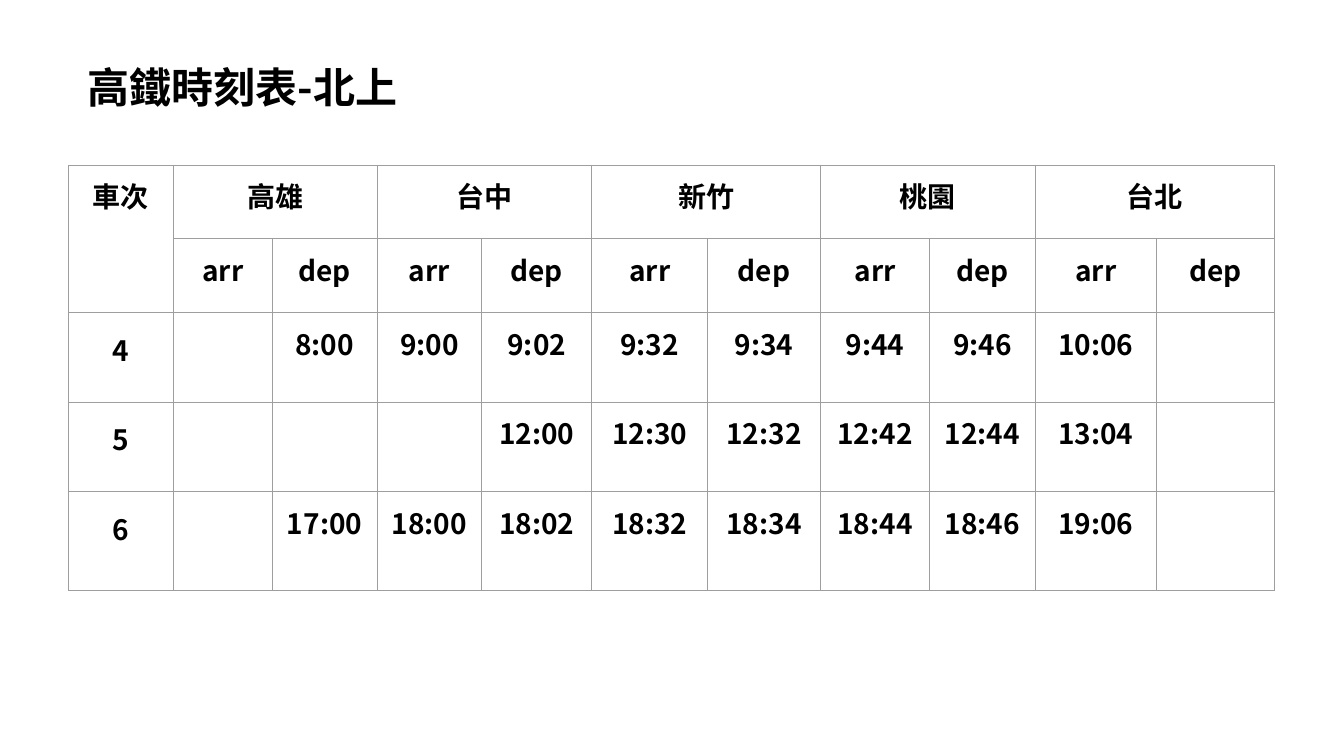
from lxml import etree
from pptx import Presentation
from pptx.dml.color import RGBColor
from pptx.enum.text import MSO_ANCHOR, PP_ALIGN
from pptx.oxml.ns import qn
from pptx.util import Inches, Pt

CENTER, LEFT = PP_ALIGN.CENTER, PP_ALIGN.LEFT
TOP = MSO_ANCHOR.TOP
BLACK = RGBColor(0x00, 0x00, 0x00)
GRAY = RGBColor(0x9E, 0x9E, 0x9E)
FACE = "Noto Sans CJK TC"
FONT = {"name": FACE, "bold": True}
INSET = {"margin_" + side: Inches(0.1) for side in ("left", "right", "top", "bottom")}

WIDTHS = [1.04, 0.98, 1.04, 1.04, 1.09, 1.15, 1.12, 1.08, 1.05, 1.2, 1.17]
HEIGHTS = [0.73, 0.73, 0.89, 0.89, 0.98]
STOPS = ["高雄", "台中", "新竹", "桃園", "台北"]
TRAINS = [
    ["4", "", "8:00", "9:00", "9:02", "9:32", "9:34", "9:44", "9:46", "10:06", ""],
    ["5", "", "", "", "12:00", "12:30", "12:32", "12:42", "12:44", "13:04", ""],
    ["6", "", "17:00", "18:00", "18:02", "18:32", "18:34", "18:44", "18:46", "19:06", ""],
]


def apply(item, values):
    """Set each attribute of item from a dict of values."""
    for name, value in values.items():
        setattr(item, name, value)


def write(para, text, size, align):
    """Put bold black text in a paragraph."""
    para.alignment = align
    run = para.add_run()
    run.text = text
    apply(run.font, {**FONT, "size": Pt(size)})
    run.font.color.rgb = BLACK
    etree.SubElement(run.font._element, qn("a:ea"), typeface=FACE)


def add_title(slide, text):
    """Add the wrapped title at the top left."""
    box = slide.shapes.add_textbox(Inches(0.77), Inches(0.51), Inches(3.3), Inches(0.69))
    apply(box.text_frame, {**INSET, "word_wrap": True, "vertical_anchor": TOP})
    write(box.text_frame.paragraphs[0], text, 30, LEFT)


def add_border(cell):
    """Draw a thin gray line on all four sides of a cell."""
    props = cell._tc.get_or_add_tcPr()
    for index, side in enumerate(("lnL", "lnR", "lnT", "lnB")):
        line = etree.Element(qn("a:" + side), w=str(Pt(0.75)))
        fill = etree.SubElement(line, qn("a:solidFill"))
        etree.SubElement(fill, qn("a:srgbClr"), val=str(GRAY))
        props.insert(index, line)


def fill_cell(cell, text, space):
    """Style one cell and write its text."""
    apply(cell, {**INSET, "vertical_anchor": TOP})
    cell.fill.background()
    add_border(cell)
    if text:
        para = cell.text_frame.paragraphs[0]
        write(para, text, 20, CENTER)
        para.line_spacing = space


def add_times(slide):
    """Add the timetable with its two header rows."""
    heads = ["車次"] + [text for stop in STOPS for text in (stop, "")]
    rows = [heads, [""] + ["arr", "dep"] * len(STOPS)] + TRAINS
    frame = slide.shapes.add_table(
        len(rows), len(WIDTHS), Inches(0.68), Inches(1.64),
        Inches(sum(WIDTHS)), Inches(sum(HEIGHTS)))
    table = frame.table
    apply(table, {"first_row": False, "horz_banding": False})
    for col, width in zip(table.columns, WIDTHS):
        col.width = Inches(width)
    for row, height in zip(table.rows, HEIGHTS):
        row.height = Inches(height)
    for r, texts in enumerate(rows):
        for c, text in enumerate(texts):
            fill_cell(table.cell(r, c), text, 1.15 if r > 1 and c == 0 else 1.0)
    table.cell(0, 0).merge(table.cell(1, 0))
    for c in range(1, len(WIDTHS), 2):
        table.cell(0, c).merge(table.cell(0, c + 1))


def main():
    """Build the timetable slide and save it."""
    deck = Presentation()
    apply(deck, {"slide_width": Inches(13.33), "slide_height": Inches(7.5)})
    slide = deck.slides.add_slide(deck.slide_layouts[6])
    add_title(slide, "高鐵時刻表-北上")
    add_times(slide)
    deck.save("out.pptx")


if __name__ == "__main__":
    main()
